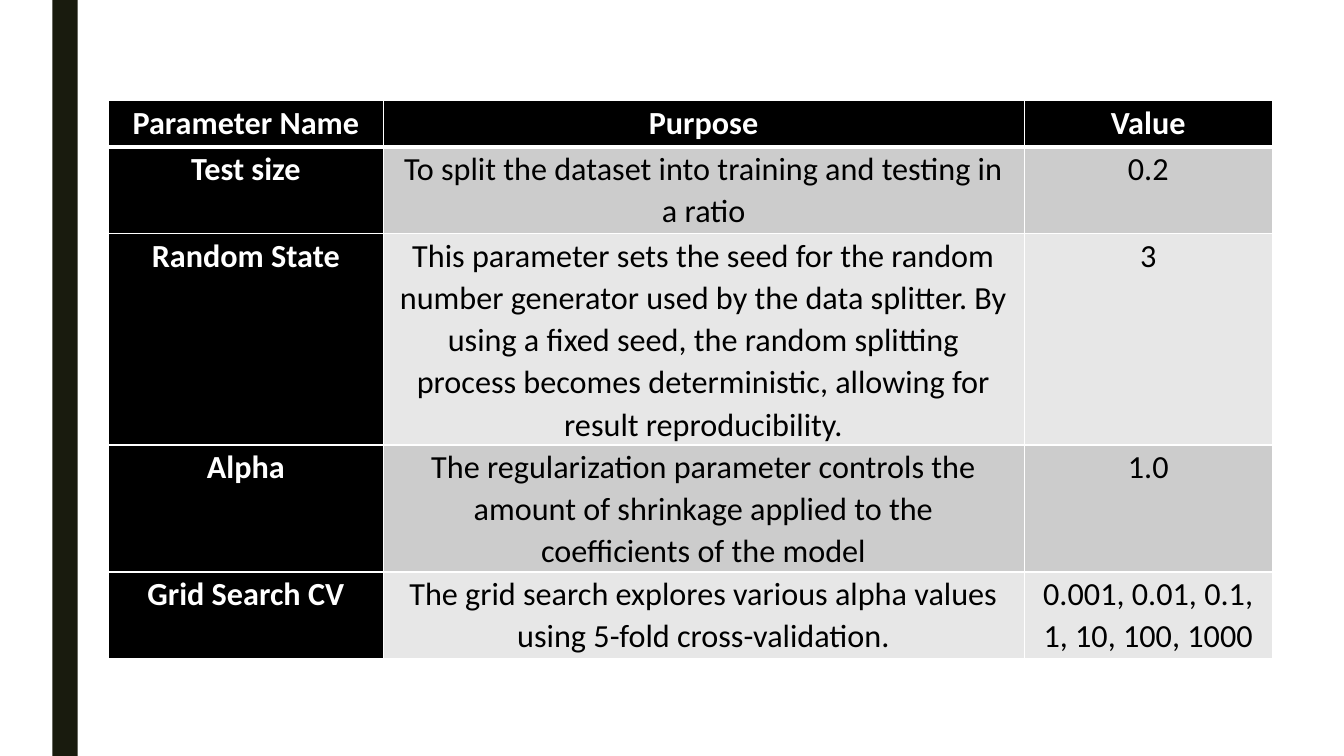
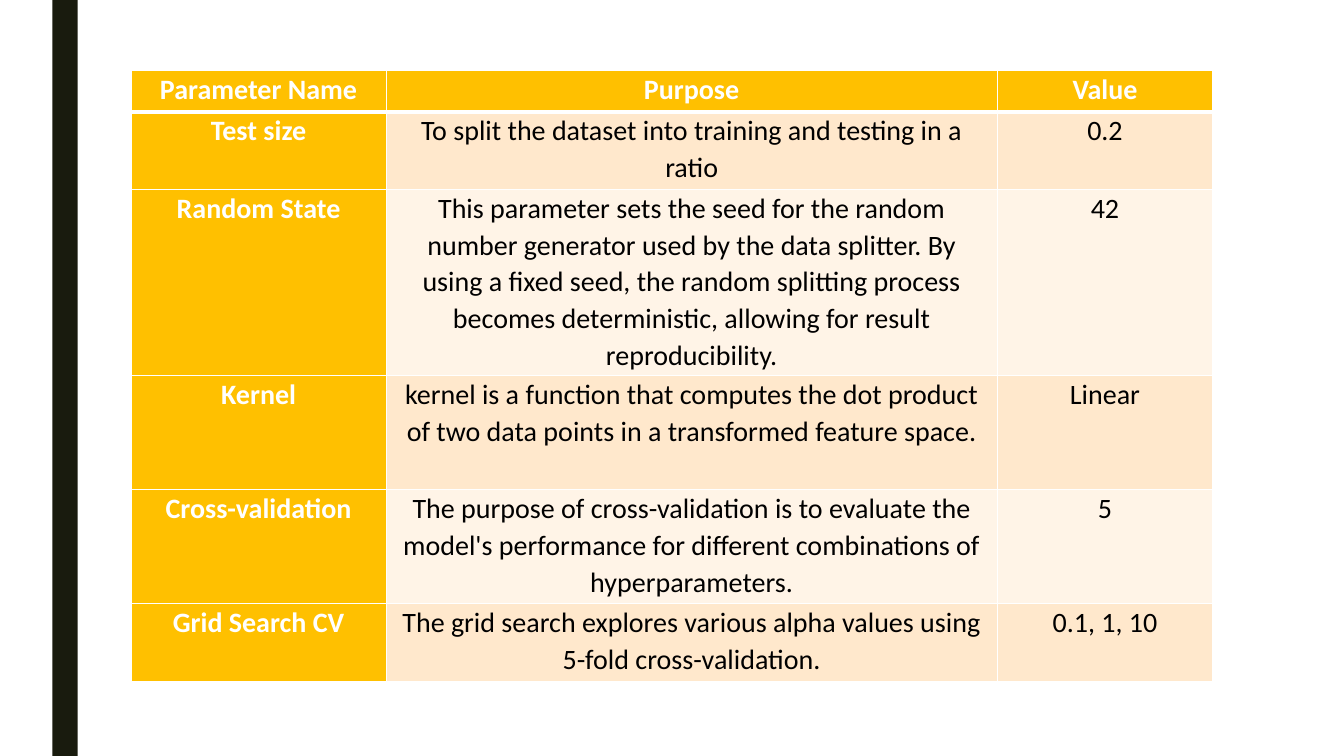
"""Two slides listing model parameters, each as one table beside a dark band."""
import pptx
import pptx.util
import pptx.dml.color
import pptx.enum.shapes
import pptx.enum.text
from lxml import etree
from pptx.oxml.ns import qn

RGB = pptx.dml.color.RGBColor
Inches, Pt = pptx.util.Inches, pptx.util.Pt

WHITE = RGB(0xFF, 0xFF, 0xFF)
BLACK = RGB(0x00, 0x00, 0x00)
BAND = RGB(0x19, 0x1B, 0x0E)
GREY = RGB(0xCC, 0xCC, 0xCC)
LIGHT_GREY = RGB(0xE7, 0xE7, 0xE7)
GOLD = RGB(0xFF, 0xC0, 0x00)
PEACH = RGB(0xFF, 0xE8, 0xCC)
LIGHT_PEACH = RGB(0xFF, 0xF4, 0xE7)

FONT = "Calibri"
WIDTH, HEIGHT = 13.33, 7.5
THIN, THICK = 1, 3

HEADER = (1, "Parameter Name", "Purpose", "Value")
TEST_SIZE = (2, "Test size", "To split the dataset into training and testing in a ratio", "0.2")
SEED = ("This parameter sets the seed for the random number generator used by the data splitter. "
        "By using a fixed seed, the random splitting process becomes deterministic, "
        "allowing for result reproducibility.")
SEARCH = "The grid search explores various alpha values using 5-fold cross-validation."

TABLES = [
    {
        "left": 1.08, "top": 1, "columns": (2.72, 6.36, 2.46),
        "line": 0.4, "extra": 0.06, "size": 23, "margin": 0.14, "under_header": THICK,
        "head": BLACK, "stripes": (GREY, LIGHT_GREY),
        "rows": [
            HEADER,
            TEST_SIZE,
            (5, "Random State", SEED, "3"),
            (3, "Alpha", "The regularization parameter controls the amount of shrinkage "
                         "applied to the coefficients of the model", "1.0"),
            (2, "Grid Search CV", SEARCH, "0.001, 0.01, 0.1, 1, 10, 100, 1000"),
        ],
    },
    {
        "left": 1.3, "top": 0.7, "columns": (2.53, 6.06, 2.14),
        "line": 0.36, "extra": 0.05, "size": 20, "margin": 0.13, "under_header": THIN,
        "head": GOLD, "stripes": (PEACH, LIGHT_PEACH),
        "rows": [
            HEADER,
            TEST_SIZE,
            (5, "Random State", SEED, "42"),
            (3, "Kernel", "kernel is a function that computes the dot product of two data "
                          "points in a transformed feature space.", "Linear"),
            (3, "Cross-validation", "The purpose of cross-validation is to evaluate the model's "
                                    "performance for different combinations of hyperparameters.", "5"),
            (2, "Grid Search CV", SEARCH, "0.1, 1, 10"),
        ],
    },
]


def add_band(s):
    sp = s.shapes.add_shape(pptx.enum.shapes.MSO_SHAPE.RECTANGLE,
                            Inches(0.52), 0, Inches(0.25), Inches(HEIGHT))
    sp.shadow.inherit = False
    sp.fill.solid()
    sp.fill.fore_color.rgb = BAND
    sp.line.fill.background()


def set_borders(cell, top, bottom):
    tc_pr = cell._tc.get_or_add_tcPr()
    for side, width in (("L", THIN), ("R", THIN), ("T", top), ("B", bottom)):
        ln = etree.SubElement(tc_pr, qn(f"a:ln{side}"), w=str(Pt(width)))
        fill = etree.SubElement(ln, qn("a:solidFill"))
        etree.SubElement(fill, qn("a:srgbClr"), val=str(WHITE))


def style_cell(cell, text, fill, is_head, size, margin):
    cell.fill.solid()
    cell.fill.fore_color.rgb = fill
    cell.margin_left = cell.margin_right = Inches(margin)
    cell.margin_top = cell.margin_bottom = 0
    p = cell.text_frame.paragraphs[0]
    p.text = text
    p.alignment = pptx.enum.text.PP_ALIGN.CENTER
    p.line_spacing = 1.07
    p.space_after = Pt(8)
    font = p.runs[0].font
    font.name, font.size, font.bold = FONT, Pt(size), is_head
    font.color.rgb = WHITE if is_head else BLACK


def add_parameter_table(s, t):
    heights = [t["extra"] + t["line"] * lines for lines, *_ in t["rows"]]
    table = s.shapes.add_table(len(heights), len(t["columns"]), Inches(t["left"]), Inches(t["top"]),
                               Inches(sum(t["columns"])), Inches(sum(heights))).table
    table.first_col = True
    for column, width in zip(table.columns, t["columns"]):
        column.width = Inches(width)
    for i, (_, *texts) in enumerate(t["rows"]):
        table.rows[i].height = Inches(heights[i])
        for j, text in enumerate(texts):
            cell = table.cell(i, j)
            is_head = i == 0 or j == 0
            set_borders(cell, t["under_header"] if i == 1 else THIN, THICK if i == 0 else THIN)
            fill = t["head"] if is_head else t["stripes"][(i - 1) % 2]
            style_cell(cell, text, fill, is_head, t["size"], t["margin"])


def main():
    prs = pptx.Presentation()
    prs.slide_width, prs.slide_height = Inches(WIDTH), Inches(HEIGHT)
    for t in TABLES:
        s = prs.slides.add_slide(prs.slide_layouts[6])
        add_band(s)
        add_parameter_table(s, t)
    prs.save("out.pptx")


if __name__ == "__main__":
    main()
